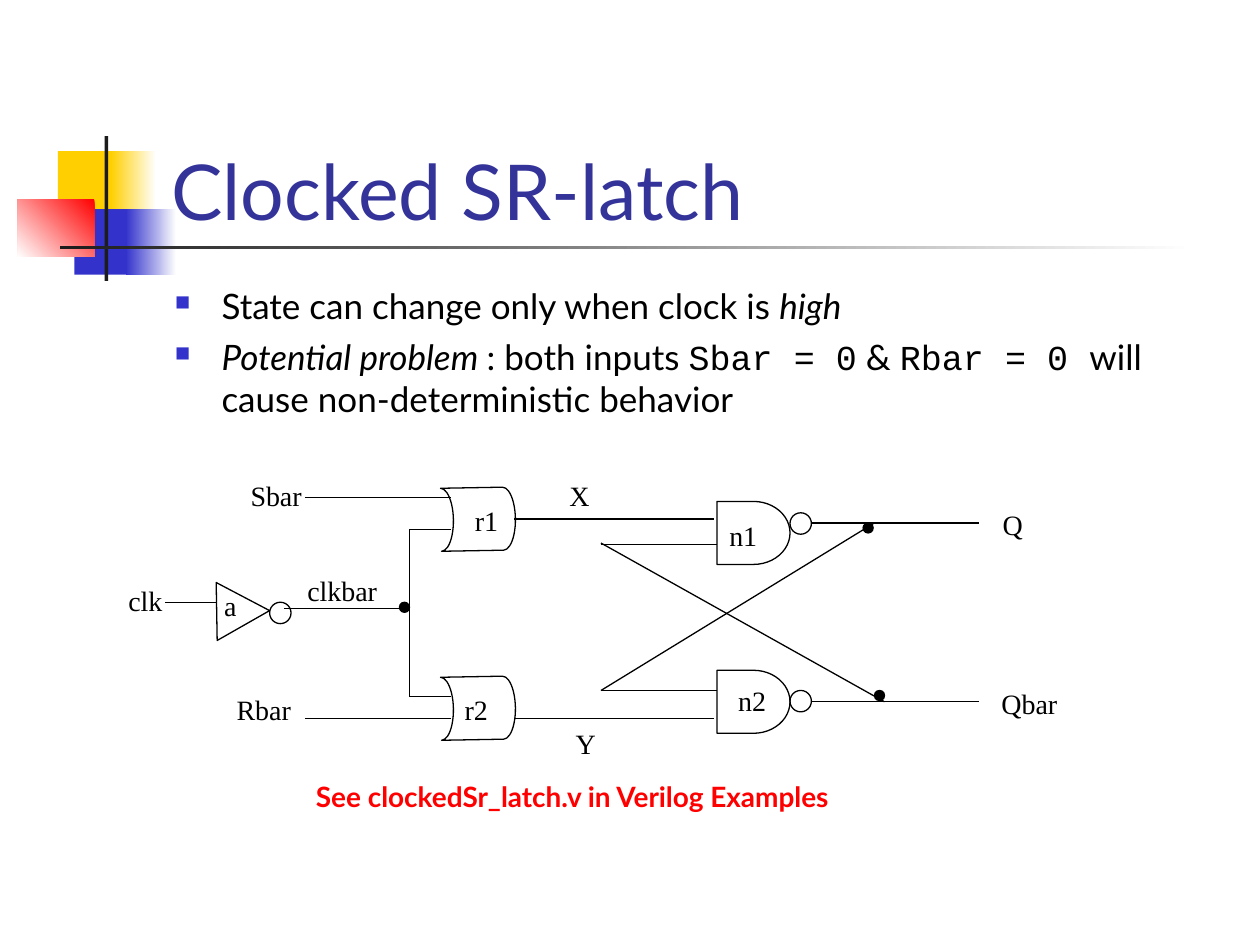
from lxml.etree import SubElement
from pptx import Presentation
from pptx.dml.color import RGBColor
from pptx.enum.shapes import MSO_CONNECTOR, MSO_SHAPE
from pptx.enum.text import MSO_ANCHOR, MSO_AUTO_SIZE, PP_ALIGN
from pptx.oxml.ns import qn
from pptx.util import Inches, Pt

COLORS = {
    "title": "333399", "blue": "3333CC", "yellow": "FFCF01", "red": "FF0000",
    "dark": "1C1C1C", "white": "FFFFFF", "black": "000000",
}
LABEL = {"size": Pt(16), "name": "Times New Roman"}
BODY = {"size": Pt(20), "name": "Lato"}
ITALIC = {**BODY, "italic": True}
CODE = {**BODY, "name": "Courier New"}
CAPTION = {"size": Pt(16), "name": "Lato", "bold": True}
TITLE = {"size": Pt(44), "name": "Lato"}

# text, left, top, width
LABELS = [
    ("Q", 7.86, 3.98, 0.4), ("Qbar", 7.85, 5.4, 0.7),
    ("n1", 5.69, 4.07, 0.46), ("n2", 5.76, 5.38, 0.46),
    ("Sbar", 1.89, 3.75, 0.66), ("clk", 0.92, 4.58, 0.52),
    ("Rbar", 1.78, 5.45, 0.7), ("r2", 3.59, 5.45, 0.44),
    ("r1", 3.67, 3.95, 0.44), ("a", 1.68, 4.62, 0.36),
    ("clkbar", 2.34, 4.5, 0.82), ("Y", 4.47, 5.72, 0.4),
    ("X", 4.42, 3.75, 0.4),
]
# start x, start y, end x, end y
WIRES = [
    (6.44, 4.15, 7.77, 4.15), (6.44, 5.57, 7.77, 5.57),  # outputs
    (7.02, 5.57, 4.77, 4.31), (4.77, 4.32, 5.69, 4.32),  # feedback to n1
    (6.94, 4.15, 4.77, 5.48), (4.77, 5.48, 5.69, 5.48),  # feedback to n2
    (2.42, 3.95, 3.58, 3.95), (2.42, 5.7, 3.58, 5.7),  # Sbar, Rbar
    (3.25, 4.2, 3.25, 5.53), (3.25, 4.2, 3.58, 4.2), (3.25, 5.53, 3.58, 5.53),
    (4.08, 4.12, 5.67, 4.12), (4.08, 5.7, 5.67, 5.7),  # X, Y
    (1.31, 4.78, 1.72, 4.78), (3.17, 4.83, 2.25, 4.83),  # clk, clkbar
]
BUBBLES = [(6.27, 4.07), (6.27, 5.48), (2.14, 4.78)]
DOTS = [(6.94, 5.48), (6.85, 4.15), (3.17, 4.78)]
BULLETS = [
    [("State can change only when clock is ", BODY), ("high", ITALIC)],
    [("Potential problem ", ITALIC), (": both inputs ", BODY),
     ("Sbar = 0", CODE), (" & ", BODY), ("Rbar = 0 ", CODE),
     ("will cause non-deterministic behavior", BODY)],
]


def rgb(color):
    return RGBColor.from_string(COLORS[color])


def format_font(font, values, color):
    for name, value in values.items():
        setattr(font, name, value)
    font.color.rgb = rgb(color)


def add_plain_shape(slide, kind, box):
    shape = slide.shapes.add_shape(kind, *map(Inches, box))
    shape.shadow.inherit = False
    return shape


def add_block(slide, box, color):
    shape = add_plain_shape(slide, MSO_SHAPE.RECTANGLE, box)
    shape.line.fill.background()
    shape.fill.solid()
    shape.fill.fore_color.rgb = rgb(color)


def add_fading_block(slide, box, start, end, angle=180):
    """Add a borderless gradient; the angle runs counter-clockwise."""
    shape = add_plain_shape(slide, MSO_SHAPE.RECTANGLE, box)
    shape.line.fill.background()
    shape.fill.gradient()
    shape.fill.gradient_angle = angle
    for stop, color in zip(shape.fill.gradient_stops, (start, end)):
        stop.color.rgb = rgb(color)


def add_symbol(slide, kind, box, rotation=0, filled=False):
    """Add a black-outlined part of the circuit."""
    shape = add_plain_shape(slide, kind, box)
    shape.rotation = rotation
    shape.line.color.rgb = rgb("black")
    shape.line.width = Pt(0.75)
    if filled:
        shape.fill.solid()
        shape.fill.fore_color.rgb = rgb("black")
    else:
        shape.fill.background()


def add_wire(slide, *ends):
    wire = slide.shapes.add_connector(MSO_CONNECTOR.STRAIGHT, *map(Inches, ends))
    wire.line.color.rgb = rgb("black")
    wire.line.width = Pt(0.75)
    SubElement(wire.element.spPr, qn("a:effectLst"))


def add_label(slide, text, left, top, width, values=LABEL, color="black"):
    box = slide.shapes.add_textbox(*map(Inches, (left, top, width, 0.37)))
    frame = box.text_frame
    frame.word_wrap = True  # keeps the text at the left edge of its box
    frame.auto_size = MSO_AUTO_SIZE.SHAPE_TO_FIT_TEXT
    run = frame.paragraphs[0].add_run()
    run.text = text
    format_font(run.font, values, color)


def set_bullet(paragraph):
    properties = paragraph._p.get_or_add_pPr()
    properties.set("marL", str(Inches(0.37)))
    properties.set("indent", str(-Inches(0.37)))
    color = SubElement(properties, qn("a:buClr"))
    SubElement(color, qn("a:srgbClr"), val=COLORS["blue"])
    SubElement(properties, qn("a:buSzPct"), val="60000")
    SubElement(properties, qn("a:buChar"), char="■")


def add_bullets(slide):
    box = slide.shapes.add_textbox(*map(Inches, (1.29, 2.21, 7.96, 1.25)))
    frame = box.text_frame
    frame.word_wrap = True
    for index, runs in enumerate(BULLETS):
        paragraph = frame.add_paragraph() if index else frame.paragraphs[0]
        set_bullet(paragraph)
        if index:
            paragraph.space_before = Pt(5)
        for text, values in runs:
            run = paragraph.add_run()
            run.text = text
            format_font(run.font, values, "black")


def add_decoration(slide):
    add_block(slide, (0.46, 1.2, 0.48, 0.52), "yellow")
    add_fading_block(slide, (0.88, 1.2, 0.36, 0.52), "white", "yellow")
    add_block(slide, (0.59, 1.66, 0.46, 0.52), "blue")
    add_fading_block(slide, (1, 1.66, 0.4, 0.52), "white", "blue")
    add_fading_block(slide, (0.14, 1.58, 0.61, 0.46), "red", "white", 225)
    add_block(slide, (0.83, 1.08, 0.03, 1.15), "dark")
    add_fading_block(slide, (0.48, 1.95, 9, 0.03), "white", "dark")


def set_title(slide, text):
    title = slide.shapes.title
    title.left, title.top, title.width, title.height = map(
        Inches, (1.26, 0.67, 8.52, 1.25))
    frame = title.text_frame
    frame.text = text
    frame.auto_size = MSO_AUTO_SIZE.NONE
    frame.vertical_anchor = MSO_ANCHOR.BOTTOM
    frame.paragraphs[0].alignment = PP_ALIGN.LEFT
    format_font(frame.paragraphs[0].runs[0].font, TITLE, "title")
    title.element.getparent().append(title.element)  # in front of the decoration


def add_circuit(slide):
    for top in (3.98, 5.32):
        add_symbol(slide, MSO_SHAPE.FLOWCHART_DELAY, (5.69, top, 0.58, 0.5))
    for top in (3.87, 5.37):
        add_symbol(slide, MSO_SHAPE.FLOWCHART_STORED_DATA, (3.5, top, 0.59, 0.5), 179)
    add_symbol(slide, MSO_SHAPE.ISOSCELES_TRIANGLE, (1.7, 4.64, 0.46, 0.42), 89)
    for left, top in BUBBLES:
        add_symbol(slide, MSO_SHAPE.OVAL, (left, top, 0.17, 0.17))
    for left, top in DOTS:
        add_symbol(slide, MSO_SHAPE.OVAL, (left, top, 0.08, 0.08), filled=True)
    for wire in WIRES:
        add_wire(slide, *wire)
    for label in LABELS:
        add_label(slide, *label)


def main():
    presentation = Presentation()
    presentation.slide_width, presentation.slide_height = Inches(10), Inches(7.5)
    slide = presentation.slides.add_slide(presentation.slide_layouts[5])
    add_decoration(slide)
    set_title(slide, "Clocked SR-latch")
    add_bullets(slide)
    add_circuit(slide)
    add_label(slide, "See clockedSr_latch.v in Verilog Examples",
              2.41, 6.14, 4.77, CAPTION, "red")
    presentation.save("out.pptx")


if __name__ == "__main__":
    main()
